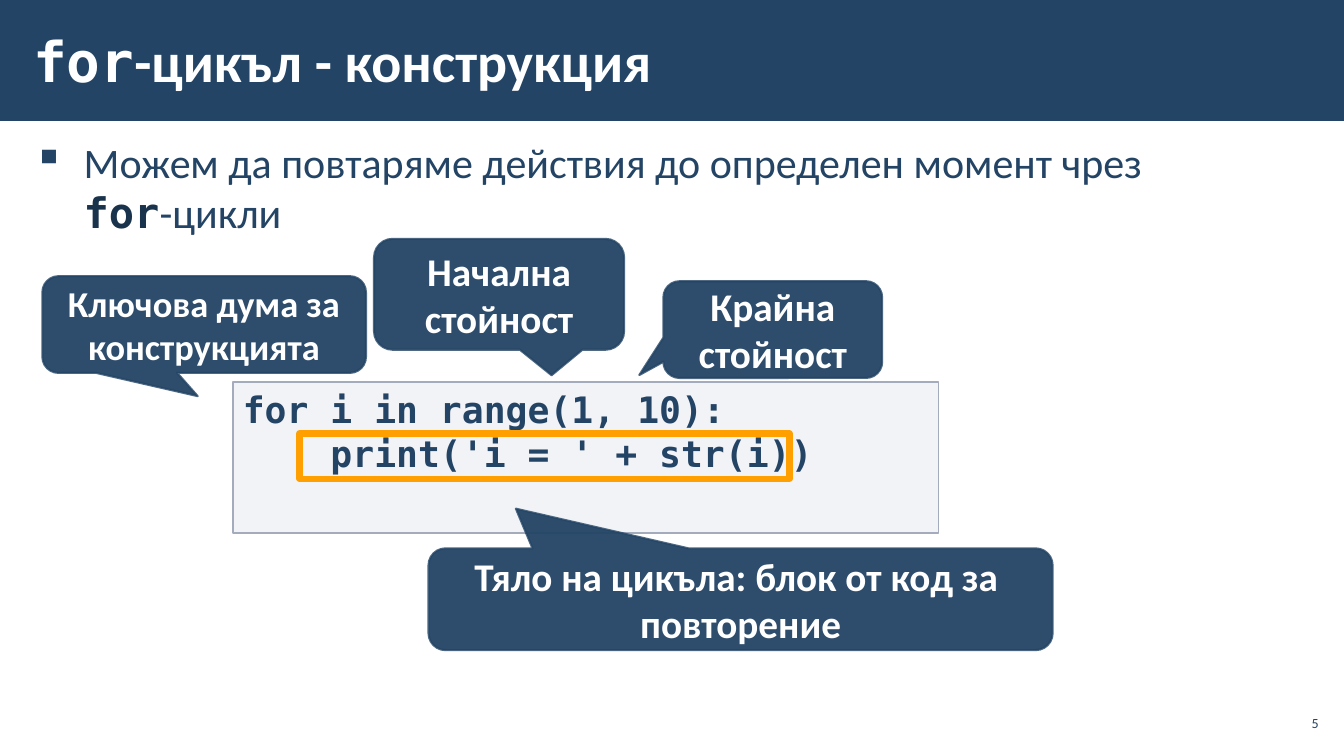
import lxml.etree
import pptx
import pptx.dml.color
import pptx.enum.shapes
import pptx.enum.text
import pptx.oxml.ns
import pptx.util

NAVY, DARK, WHITE, ORANGE = "234465", "1A334C", "FFFFFF", "FFA000"
SANS, MONO = "Calibri", "DejaVu Sans Mono"
SHAPE = pptx.enum.shapes.MSO_SHAPE
ALIGN = pptx.enum.text.PP_ALIGN
ANCHOR = pptx.enum.text.MSO_ANCHOR
Inches = pptx.util.Inches


def rgb(value):
    """Return the colour for a hex string."""
    return pptx.dml.color.RGBColor.from_string(value)


def apply(obj, **values):
    """Set each given attribute on an object."""
    for name, value in values.items():
        setattr(obj, name, value)


def add_child(parent, tag, **attributes):
    """Append a drawing element with the given attributes."""
    child = lxml.etree.SubElement(parent, pptx.oxml.ns.qn(tag))
    for name, value in attributes.items():
        child.set(name, str(value))
    return child


def set_alpha(color_format_parent, percent):
    """Make the solid colour of a fill or line partly transparent."""
    color = color_format_parent.find(".//" + pptx.oxml.ns.qn("a:srgbClr"))
    add_child(color, "a:alpha", val=percent * 1000)


def add_run(p, text, size, color=NAVY, font=SANS, bold=False):
    """Add a formatted run, turning line ends into line breaks."""
    for i, line in enumerate(text.split("\n")):
        if i:
            p.add_line_break()
        if line:
            r = p.add_run()
            r.text = line
            apply(r.font, size=pptx.util.Pt(size), name=font, bold=bold)
            r.font.color.rgb = rgb(color)


def set_frame(sp, anchor, x_inset=0.1, y_inset=0.05):
    """Prepare a text frame and return it."""
    tf = sp.text_frame
    apply(tf, word_wrap=True, vertical_anchor=anchor,
          margin_left=Inches(x_inset), margin_right=Inches(x_inset),
          margin_top=Inches(y_inset), margin_bottom=Inches(y_inset))
    return tf


def add_shape(slide, kind, box, fill=None, alpha=100, line=None, width=1):
    """Add a flat shape with an optional fill and outline."""
    sp = slide.shapes.add_shape(kind, *map(Inches, box))
    sp.shadow.inherit = False
    if fill:
        sp.fill.solid()
        sp.fill.fore_color.rgb = rgb(fill)
        set_alpha(sp.fill._xPr, alpha)
    else:
        sp.fill.background()
    if line:
        sp.line.color.rgb = rgb(line)
        sp.line.width = pptx.util.Pt(width)
    else:
        sp.line.fill.background()
    return sp


def add_text(slide, box, anchor, x_inset=0.12):
    """Add a text box and return its first paragraph."""
    sp = slide.shapes.add_textbox(*map(Inches, box))
    return set_frame(sp, anchor, x_inset, 0.04).paragraphs[0]


def add_header(slide, box):
    """Draw the title bar with its heading."""
    left, top, width, height = box
    add_shape(slide, SHAPE.RECTANGLE, box, NAVY)
    p = add_text(slide, (left + 0.21, top + 0.11, 10.39, height - 0.23), ANCHOR.MIDDLE)
    add_run(p, "for", 40, WHITE, MONO, True)
    add_run(p, "-цикъл - конструкция", 40, WHITE, SANS, True)


def add_body(slide, box):
    """Write the bulleted statement."""
    p = add_text(slide, box, ANCHOR.TOP)
    apply(p, space_before=pptx.util.Pt(6), space_after=pptx.util.Pt(6))
    pPr = p._p.get_or_add_pPr()
    pPr.set("marL", str(Inches(0.5)))
    pPr.set("indent", str(Inches(-0.5)))
    add_child(pPr, "a:buChar", char="▪")
    add_run(p, "Можем да повтаряме действия до определен момент чрез \n", 30)
    add_run(p, "for", 30, DARK, MONO, True)
    add_run(p, "-цикли", 30)


def add_code(slide, box):
    """Draw the code panel."""
    sp = add_shape(slide, SHAPE.RECTANGLE, box, "C2C7D2", 20, "A3ABBC")
    tf = set_frame(sp, ANCHOR.TOP)
    lines = ["for i in range(1, 10):", "    print('i = ' + str(i))"]
    for i, line in enumerate(lines):
        p = tf.add_paragraph() if i else tf.paragraphs[0]
        p.alignment = ALIGN.LEFT
        add_run(p, line, 26, NAVY, MONO, True)


def add_body_frame(slide, box):
    """Outline the loop body inside the code panel."""
    left, top = box[:2]
    sp = add_shape(slide, SHAPE.RECTANGLE, (left + 0.66, top + 0.51, 4.86, 0.45),
                   line=ORANGE, width=4.5)
    add_child(sp.line._get_or_add_ln(), "a:round")


def add_callout(slide, box, tip, text, size=28):
    """Draw a speech bubble whose tip is given as shares of its size."""
    sp = add_shape(slide, SHAPE.ROUNDED_RECTANGULAR_CALLOUT, box, NAVY, 95, NAVY, 1.5)
    set_alpha(sp.line._get_or_add_ln(), 80)
    for i, value in enumerate((*tip, 0.167)):
        sp.adjustments[i] = value
    p = set_frame(sp, ANCHOR.MIDDLE).paragraphs[0]
    p.alignment = ALIGN.CENTER
    add_run(p, text, size, WHITE, SANS, True)


def add_page_number(slide, box):
    """Write the page number."""
    p = add_text(slide, box, ANCHOR.MIDDLE, 0.04)
    p.alignment = ALIGN.RIGHT
    add_run(p, "5", 10)


def main():
    """Build and save the slide."""
    prs = pptx.Presentation()
    apply(prs, slide_width=Inches(13.33), slide_height=Inches(7.5))
    slide = prs.slides.add_slide(prs.slide_layouts[6])
    add_header(slide, (0, 0, 13.33, 1.2))
    add_body(slide, (0.21, 1.31, 12.92, 5.69))
    add_page_number(slide, (12.65, 7, 0.47, 0.34))
    code_box = (2.31, 3.79, 7, 1.5)
    add_code(slide, code_box)
    callouts = [
        ((0.42, 2.74, 3.21, 0.96), (-0.02, 0.74), "Ключова дума за конструкцията", 26),
        ((3.71, 2.37, 2.48, 1.1), (0.21, 0.73), "Начална стойност", 28),
        ((6.58, 2.79, 2.17, 0.96), (-0.61, 0.47), "Крайна стойност", 28),
        ((4.25, 5.44, 6.19, 1.01), (-0.36, -0.89),
         "Тяло на цикъла: блок от код за \nповторение", 28),
    ]
    for callout in callouts:
        add_callout(slide, *callout)
    add_body_frame(slide, code_box)
    prs.save("out.pptx")


if __name__ == "__main__":
    main()
